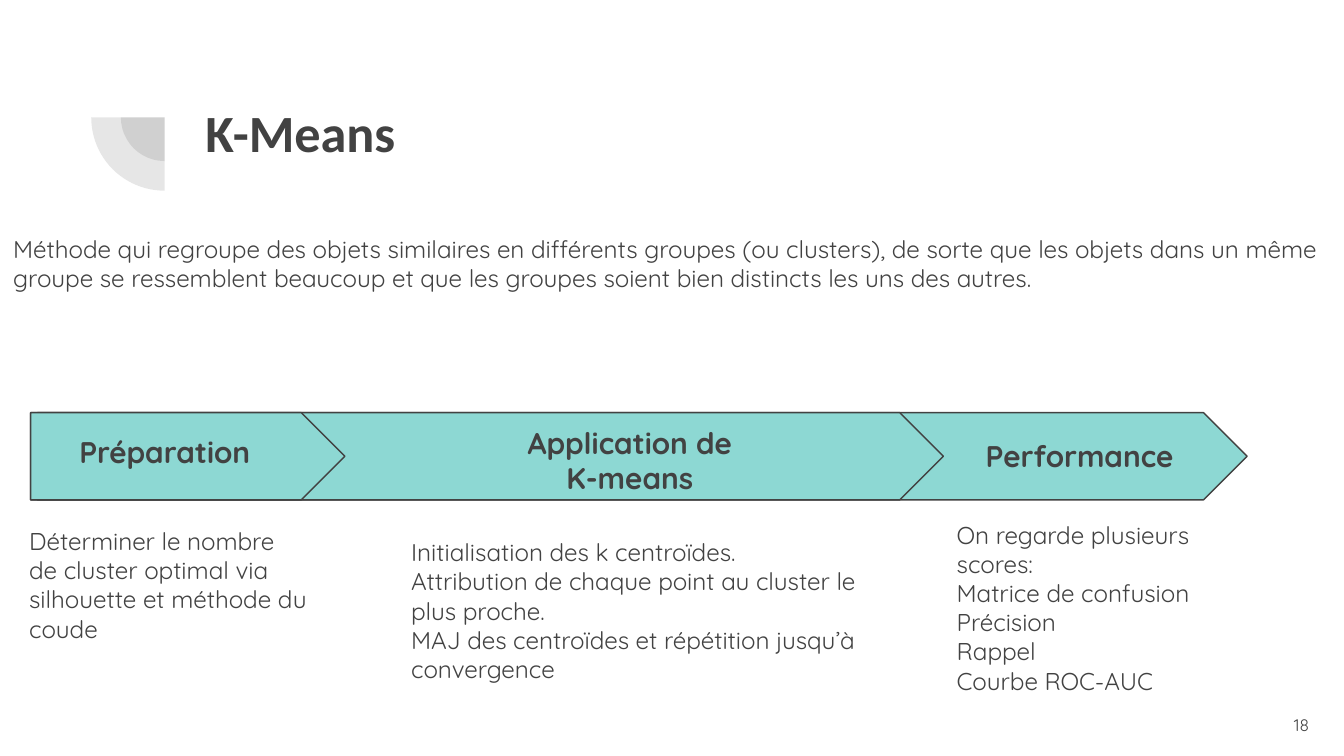
from dataclasses import dataclass

from lxml import etree
from pptx import Presentation
from pptx.dml.color import RGBColor
from pptx.enum.shapes import MSO_SHAPE
from pptx.enum.text import MSO_ANCHOR, MSO_AUTO_SIZE, PP_ALIGN
from pptx.oxml.ns import qn
from pptx.util import Cm, Pt

PIE, PENTAGON = MSO_SHAPE.PIE, MSO_SHAPE.PENTAGON
TOP, MIDDLE = MSO_ANCHOR.TOP, MSO_ANCHOR.MIDDLE
LEFT, CENTER, RIGHT = PP_ALIGN.LEFT, PP_ALIGN.CENTER, PP_ALIGN.RIGHT
NO_FIT = MSO_AUTO_SIZE.NONE

DARK = RGBColor(0x42, 0x42, 0x42)
TEAL = RGBColor(0x8D, 0xD8, 0xD3)
FONT, TITLE_FONT = "Quicksand", "Calibri"
ARROW_TOP, ARROW_HEIGHT = 7.8, 1.65


@dataclass
class Box:
    """Position and size in centimetres."""
    left: float
    top: float
    width: float
    height: float


@dataclass
class Style:
    size: float
    font: str = FONT
    bold: bool = False
    align: PP_ALIGN = LEFT
    anchor: MSO_ANCHOR = TOP


@dataclass
class Step:
    heading: str
    heading_box: Box
    arrow_left: float
    arrow_width: float
    lines: list[str]
    body_box: Box


TITLE = Style(28, TITLE_FONT, bold=True)
BODY = Style(13)
HEADING = Style(16, bold=True, align=CENTER)
NUMBER = Style(9, align=RIGHT, anchor=MIDDLE)

INTRO = ("Méthode qui regroupe des objets similaires en différents groupes "
         "(ou clusters), de sorte que les objets dans un même groupe se "
         "ressemblent beaucoup et que les groupes soient bien distincts "
         "les uns des autres.")

STEPS = [
    Step("Préparation", Box(0.74, 7.95, 4.75, 1.22), 0.58, 5.94,
         ["Déterminer le nombre de cluster optimal via silhouette et méthode du coude"],
         Box(0.3, 9.7, 5.77, 4.27)),
    Step("Application de K-means", Box(9.53, 7.77, 4.75, 1.22), 0.71, 17.12,
         ["Initialisation des k centroïdes.",
          "Attribution de chaque point au cluster le plus proche.",
          "MAJ des centroïdes et répétition jusqu’à convergence"],
         Box(7.52, 9.91, 9.14, 4.27)),
    Step("Performance", Box(18.03, 8.03, 4.75, 1.22), 0.58, 22.99,
         ["On regarde plusieurs scores:", "Matrice de confusion", "Précision",
          "Rappel", "Courbe ROC-AUC"],
         Box(17.83, 9.58, 5.77, 4.27)),
]


def write(sp, box: Box, lines: list[str], style: Style) -> None:
    """Place a text shape and fill it, one paragraph per line."""
    sp.left, sp.top = Cm(box.left), Cm(box.top)
    sp.width, sp.height = Cm(box.width), Cm(box.height)
    tf = sp.text_frame
    tf.word_wrap, tf.auto_size = True, NO_FIT
    tf.vertical_anchor = style.anchor
    tf.margin_left = tf.margin_right = Cm(0.25)
    tf.margin_top = tf.margin_bottom = Cm(0.25)
    for i, line in enumerate(lines):
        p = tf.add_paragraph() if i else tf.paragraphs[0]
        p.alignment, p.line_spacing = style.align, 1.0
        p.space_before = p.space_after = Pt(0)
        if sp.is_placeholder:
            pPr = p._p.get_or_add_pPr()
            pPr.set("marL", "0")
            pPr.set("indent", "0")
            etree.SubElement(pPr, qn("a:buNone"))
        r = p.add_run()
        r.text = line
        r.font.name, r.font.size, r.font.bold = style.font, Pt(style.size), style.bold
        r.font.color.rgb = DARK


def add_text(s, box: Box, text: str, style: Style) -> None:
    write(s.shapes.add_textbox(0, 0, 0, 0), box, [text], style)


def add_quarter(s, diameter: float) -> None:
    """Lower-left quarter disc around the shared centre."""
    sp = s.shapes.add_shape(PIE, Cm(3.11 - diameter / 2), Cm(2.22 - diameter / 2),
                            Cm(diameter), Cm(diameter))
    sp.adjustments[0], sp.adjustments[1] = 54, 108
    sp.shadow.inherit = False
    sp.fill.solid()
    sp.fill.fore_color.rgb = DARK
    color = sp._element.spPr.find(".//" + qn("a:srgbClr"))
    etree.SubElement(color, qn("a:alpha"), val="13000")
    sp.line.fill.background()


def add_arrow(s, left: float, width: float) -> None:
    sp = s.shapes.add_shape(PENTAGON, Cm(left), Cm(ARROW_TOP), Cm(width), Cm(ARROW_HEIGHT))
    sp.adjustments[0] = 0.5
    sp.shadow.inherit = False
    sp.fill.solid()
    sp.fill.fore_color.rgb = TEAL
    sp.line.color.rgb = DARK
    sp.line.width = Pt(0.75)


def main() -> None:
    prs = Presentation()
    prs.slide_width, prs.slide_height = Cm(25.4), Cm(14.29)
    # Comparison layout: a title and four body placeholders
    s = prs.slides.add_slide(prs.slide_layouts[4])
    title, intro, *bodies = s.placeholders

    # Title with its quarter-disc ornament
    for diameter in (1.65, 2.77):
        add_quarter(s, diameter)
    write(title, Box(3.63, 1.65, 19.53, 2.77), ["K-Means"], TITLE)

    # Introduction and step descriptions
    write(intro, Box(0, 4.17, 25.4, 4.27), [INTRO], BODY)
    for body, step in zip(bodies, STEPS):
        write(body, step.body_box, step.lines, BODY)

    # Process band: the longest arrow lies at the back
    for step in reversed(STEPS):
        add_arrow(s, step.arrow_left, step.arrow_width)
    for step in STEPS:
        add_text(s, step.heading_box, step.heading, HEADING)

    # Slide number
    add_text(s, Box(23.47, 13.16, 1.52, 1.09), "18", NUMBER)
    prs.save("out.pptx")


if __name__ == "__main__":
    main()
